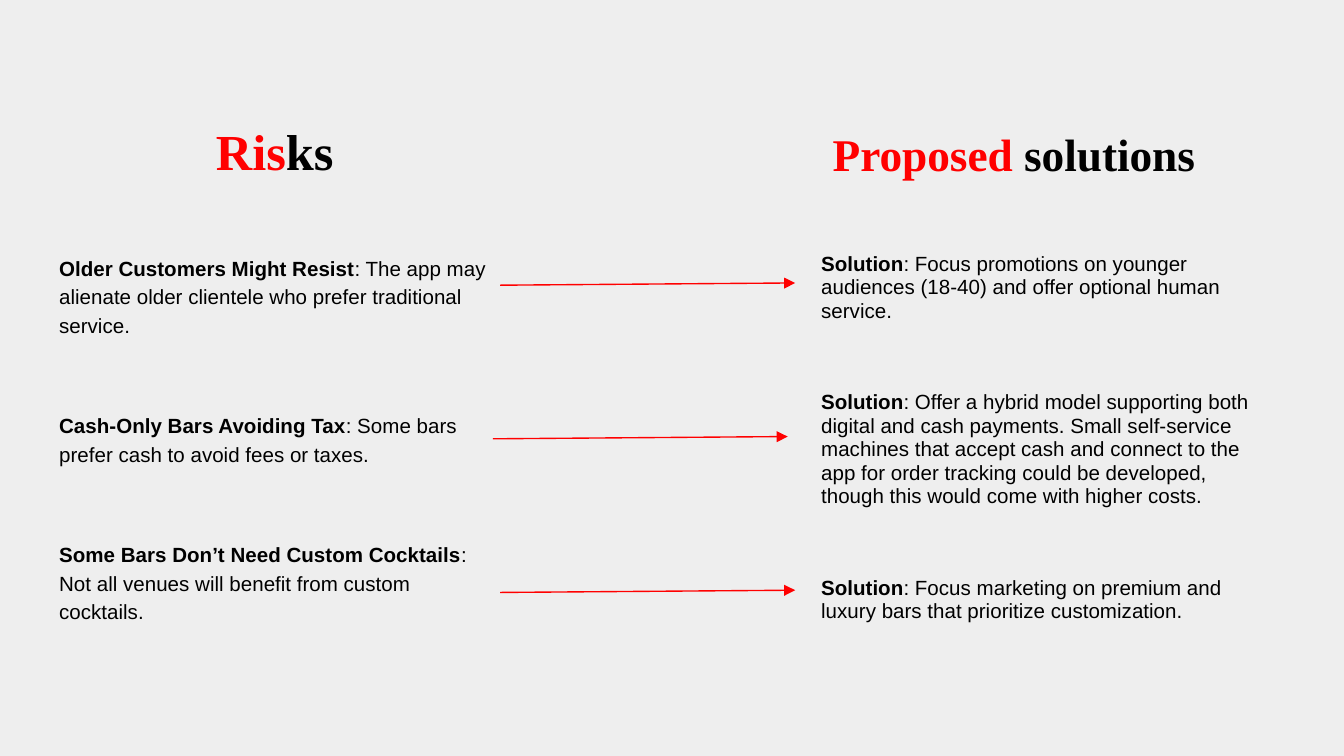
from lxml import etree
from pptx import Presentation, util as u
from pptx.dml import color
from pptx.enum import shapes, text
from pptx.oxml import ns

RED, BLACK, BACKGROUND = "FF0000", "000000", "EEEEEE"
RISKS = [
    ("Older Customers Might Resist",
     ": The app may alienate older clientele who prefer traditional service."),
    ("Cash-Only Bars Avoiding Tax",
     ": Some bars prefer cash to avoid fees or taxes."),
    ("Some Bars Don’t Need Custom Cocktails",
     ": Not all venues will benefit from custom cocktails."),
]
SOLUTIONS = [
    ("Solution",
     ": Focus promotions on younger audiences (18-40) and offer optional human service."),
    ("Solution",
     ": Offer a hybrid model supporting both digital and cash payments. Small self-service "
     "machines that accept cash and connect to the app for order tracking could be developed, "
     "though this would come with higher costs."),
    ("Solution",
     ": Focus marketing on premium and luxury bars that prioritize customization."),
]


def rgb(value):
    """Turn a hex string into a colour."""
    return color.RGBColor.from_string(value)


def set_box(holder, left, top, width, height, anchor):
    """Place a placeholder and return its text frame."""
    holder.left, holder.top = u.Pt(left), u.Pt(top)
    holder.width, holder.height = u.Pt(width), u.Pt(height)
    frame = holder.text_frame
    frame.margin_left = frame.margin_right = u.Pt(7.2)
    frame.margin_top = frame.margin_bottom = u.Pt(7.2)
    frame.word_wrap = True
    frame.auto_size = text.MSO_AUTO_SIZE.NONE
    frame.vertical_anchor = anchor
    return frame


def add_run(paragraph, wording, face, size, hue, bold):
    """Append a formatted run to a paragraph."""
    run = paragraph.add_run()
    run.text = wording
    run.font.name, run.font.size, run.font.bold = face, u.Pt(size), bold
    run.font.color.rgb = rgb(hue)


def fill_heading(holder, left, size, accent, rest):
    """Write a centred two-colour heading."""
    frame = set_box(holder, left, 43.9, 221, 59.8, text.MSO_ANCHOR.BOTTOM)
    heading = frame.paragraphs[0]
    heading.alignment = text.PP_ALIGN.CENTER
    heading.space_before = u.Pt(0)
    for wording, hue in ((accent, RED), (rest, BLACK)):
        add_run(heading, wording, "Times New Roman", size, hue, True)


def fill_list(holder, left, top, items, spacing, gap, bottom_inset):
    """Write unbulleted items, each with a bold lead, separated by a gap."""
    frame = set_box(holder, left, top, 244.8, 250.6, text.MSO_ANCHOR.MIDDLE)
    frame.margin_bottom = u.Pt(bottom_inset)
    for index, (lead, detail) in enumerate(items):
        item = frame.add_paragraph() if index else frame.paragraphs[0]
        item.line_spacing = spacing
        item.space_before = u.Pt(gap if index else 12)
        properties = item._p.get_or_add_pPr()
        properties.set("marL", "0")
        properties.set("indent", "0")
        etree.SubElement(properties, ns.qn("a:buNone"))
        add_run(item, lead, "Arial", 11, BLACK, True)
        add_run(item, detail, "Arial", 11, BLACK, False)


def add_arrow(slide, left, top):
    """Draw a slightly rising red arrow from a risk to its solution."""
    arrow = slide.shapes.add_connector(
        shapes.MSO_CONNECTOR.STRAIGHT,
        u.Pt(left), u.Pt(top), u.Pt(left + 158), u.Pt(top - 1.2))
    arrow.line.color.rgb = rgb(RED)
    arrow.line.width = u.Pt(0.75)
    etree.SubElement(arrow.line._get_or_add_ln(), ns.qn("a:tailEnd"), type="triangle")
    etree.SubElement(arrow._element.spPr, ns.qn("a:effectLst"))


def main():
    """Build and save the risks and solutions slide."""
    deck = Presentation()
    deck.slide_width, deck.slide_height = u.Pt(720), u.Pt(405)
    slide = deck.slides.add_slide(deck.slide_layouts.get_by_name("Comparison"))
    slide.background.fill.solid()
    slide.background.fill.fore_color.rgb = rgb(BACKGROUND)

    holders = {h.placeholder_format.idx: h for h in slide.placeholders}
    fill_heading(holders[0], 36.7, 27, "Ris", "ks")
    fill_list(holders[2], 24.5, 109.4, RISKS, 1.15, 38.8, 7.2)
    fill_heading(holders[3], 432.7, 24.3, "Proposed", " solutions")
    fill_list(holders[4], 432.7, 121.7, SOLUTIONS, 0.95, 36.6, 31.8)
    for index in (1, 10, 11, 12):
        if index in holders:
            spare = holders[index]._element
            spare.getparent().remove(spare)

    for row, left in enumerate((268, 264, 268)):
        add_arrow(slide, left, 152.8 + 82.3 * row)
    deck.save("out.pptx")


if __name__ == "__main__":
    main()
